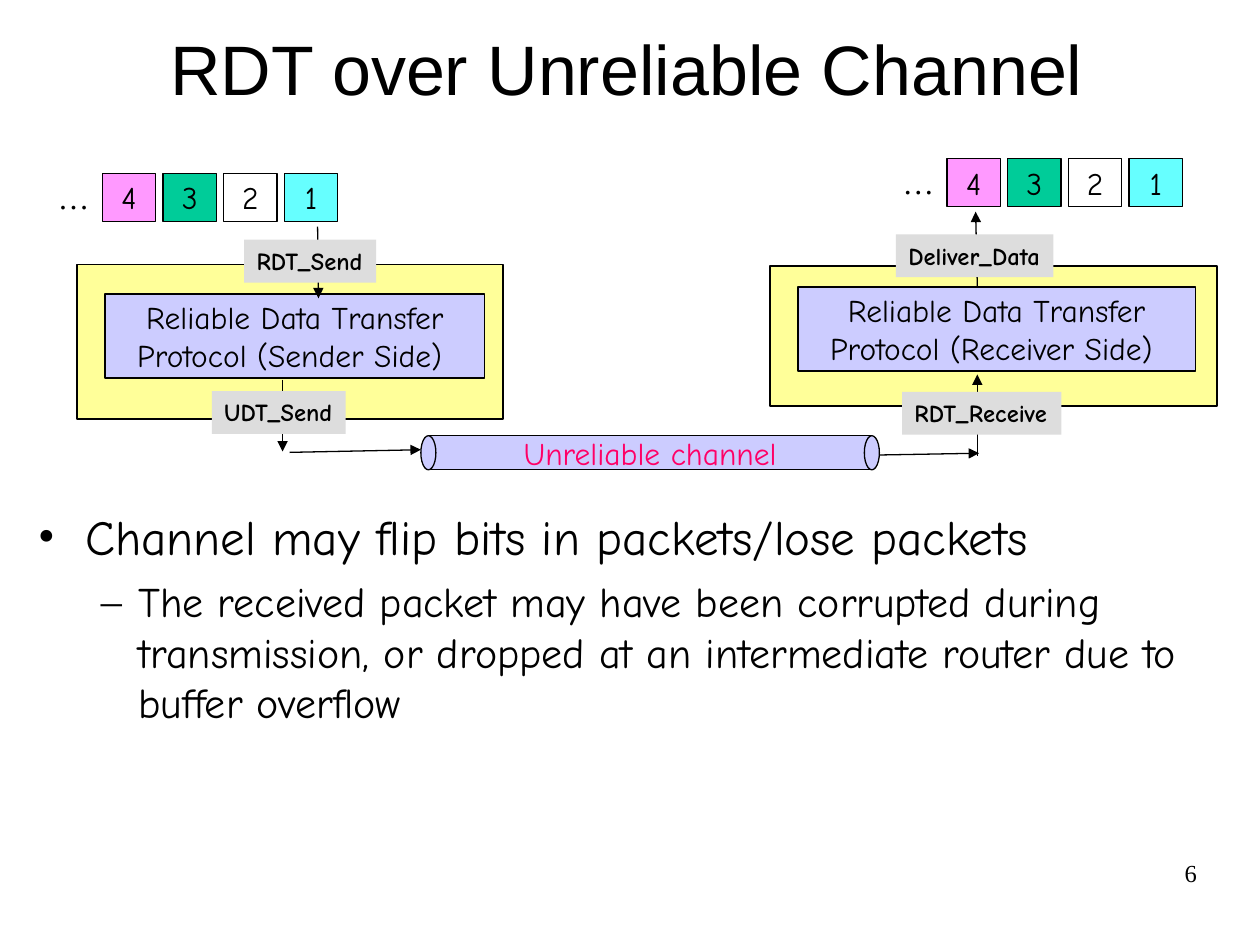
from lxml import etree
from pptx import Presentation
from pptx.dml.color import RGBColor
from pptx.enum import shapes, text
from pptx.oxml.ns import qn
from pptx.util import Pt

BLACK = RGBColor(0x00, 0x00, 0x00)
WHITE = RGBColor(0xFF, 0xFF, 0xFF)
LILAC = RGBColor(0xCC, 0xCC, 0xFF)
YELLOW = RGBColor(0xFF, 0xFF, 0x99)
GREY = RGBColor(0xDD, 0xDD, 0xDD)
PINK = RGBColor(0xFF, 0x99, 0xFF)
GREEN = RGBColor(0x00, 0xCC, 0x99)
CYAN = RGBColor(0x66, 0xFF, 0xFF)
RED = RGBColor(0xFF, 0x00, 0x66)
COMIC, TIMES = "Comic Neue", "Times New Roman"
LEFT, CENTER, RIGHT = text.PP_ALIGN.LEFT, text.PP_ALIGN.CENTER, text.PP_ALIGN.RIGHT
RECT, OVAL = shapes.MSO_SHAPE.RECTANGLE, shapes.MSO_SHAPE.OVAL


def write(sp, words, size, font=COMIC, color=BLACK, align=CENTER,
          anchor=text.MSO_ANCHOR.MIDDLE, wrap=False, bold=False):
    tf = sp.text_frame
    tf.text = words
    tf.word_wrap = wrap
    tf.vertical_anchor = anchor
    for p in tf.paragraphs:
        p.alignment = align
        for r in p.runs:
            r.font.size, r.font.name, r.font.bold = Pt(size), font, bold
            r.font.color.rgb = color
    return tf


def block(s, box, fill, kind=RECT, outlined=True):
    sp = s.shapes.add_shape(kind, *map(Pt, box))
    sp.shadow.inherit = False
    sp.fill.solid()
    sp.fill.fore_color.rgb = fill
    if outlined:
        sp.line.color.rgb = BLACK
        sp.line.width = Pt(0.75)
    else:
        sp.line.fill.background()
    return sp


def arrow(s, start, end):
    cx = s.shapes.add_connector(shapes.MSO_CONNECTOR.STRAIGHT, *map(Pt, (*start, *end)))
    cx.line.color.rgb = BLACK
    cx.line.width = Pt(0.75)
    etree.SubElement(cx.line._get_or_add_ln(), qn("a:tailEnd"), type="triangle")
    etree.SubElement(cx._element.spPr, qn("a:effectLst"))


def title(s, box, words):
    sp = s.shapes.title
    sp.left, sp.top, sp.width, sp.height = map(Pt, box)
    write(sp, words, 40, "Arial", wrap=True)


def packets(s, box):
    x, y, w, h = box
    side, first = 30.5, 32.5
    pitch = (w - first - side) / 3
    dots = s.shapes.add_textbox(Pt(x), Pt(y - 1), Pt(first), Pt(29))
    write(dots, "…", 18, TIMES, align=LEFT, anchor=text.MSO_ANCHOR.TOP)
    for i, (number, fill) in enumerate(zip("4321", (PINK, GREEN, WHITE, CYAN))):
        write(block(s, (x + first + i * pitch, y, side, h), fill), number, 18)


def endpoint(s, box, inner, words, ports):
    x, y, w, h = box
    left, top, width = inner
    block(s, box, YELLOW)
    write(block(s, (x + left, y + top, width, 48), LILAC), words, 18)
    for name, (dx, dy, label_w), (x1, y1), (x2, y2) in ports:
        arrow(s, (x + x1, y + y1), (x + x2, y + y2))
        label = block(s, (x + dx, y + dy, label_w, 24.5), GREY, outlined=False)
        write(label, name, 14, align=LEFT, anchor=text.MSO_ANCHOR.TOP, bold=True)


def channel(s, box, words):
    x, y, w, h = box
    cap = 8.6
    body = block(s, (x + cap / 2, y, w - cap, h), LILAC)
    write(body, words, 18, color=RED)
    for cap_x in (x + w - cap, x):
        block(s, (cap_x, y, cap, h), LILAC, OVAL)
    arrow(s, (165.5, y + 9.5), (x, y + 8))
    arrow(s, (x + w, y + 11), (559.5, y + 10))


def bullets(s, box, items):
    sp = s.shapes.add_textbox(*map(Pt, box))
    tf = write(sp, "\n".join(item[0] for item in items), 28, align=LEFT,
               anchor=text.MSO_ANCHOR.TOP, wrap=True)
    for level, (p, (_, size, char, margin, indent, before)) in enumerate(
            zip(tf.paragraphs, items)):
        p.level = level
        p.space_before = Pt(before)
        p.runs[0].font.size = Pt(size)
        pPr = p._p.get_or_add_pPr()
        pPr.set("marL", str(Pt(margin)))
        pPr.set("indent", str(Pt(-indent)))
        clr = etree.SubElement(pPr, qn("a:buClr"))
        etree.SubElement(clr, qn("a:srgbClr"), val=str(BLACK))
        etree.SubElement(pPr, qn("a:buFont"), typeface=TIMES)
        etree.SubElement(pPr, qn("a:buChar"), char=char)


def slide_number(s, box, number):
    sp = s.shapes.add_textbox(*map(Pt, box))
    tf = write(sp, number, 14, TIMES, align=RIGHT, anchor=text.MSO_ANCHOR.TOP, wrap=True)
    tf.margin_left = tf.margin_top = tf.margin_right = tf.margin_bottom = 0
    tf.paragraphs[0].line_spacing = 0.93


def main():
    prs = Presentation()
    prs.slide_width, prs.slide_height = Pt(720), Pt(540)
    s = prs.slides.add_slide(prs.slide_layouts[5])
    slide_number(s, (516, 492, 168, 36.5), "6")
    title(s, (52, 11, 612, 55), "RDT over Unreliable Channel")
    channel(s, (240.5, 249, 262, 19.5), "Unreliable channel")
    endpoint(s, (44, 151, 243.5, 88.5), (16, 17, 217),
             "Reliable Data Transfer\nProtocol (Sender Side) ",
             [("RDT_Send", (95.5, -14, 75.5), (137.5, -21.5), (138, 19.5)),
              ("UDT_Send", (77, 72.5, 76.5), (117.5, 66), (117.5, 107))])
    endpoint(s, (440, 152, 255.5, 80), (16, 12, 227),
             "Reliable Data Transfer\nProtocol (Receiver Side) ",
             [("Deliver_Data", (72, -18, 90), (118.5, 12), (117.5, -31)),
              ("RDT_Receive", (75.5, 72, 91), (118.5, 108.5), (118.5, 62))])
    packets(s, (26, 99, 167, 27.5))
    packets(s, (508.7, 90.5, 167, 27.5))
    bullets(s, (14.5, 286, 690.5, 243.5), [
        ("Channel may flip bits in packets/lose packets", 28, "•", 27, 27, 7),
        ("The received packet may have been corrupted during transmission, "
         "or dropped at an intermediate router due to buffer overflow",
         24, "–", 57.5, 21.5, 6)])
    prs.save("out.pptx")


if __name__ == "__main__":
    main()
